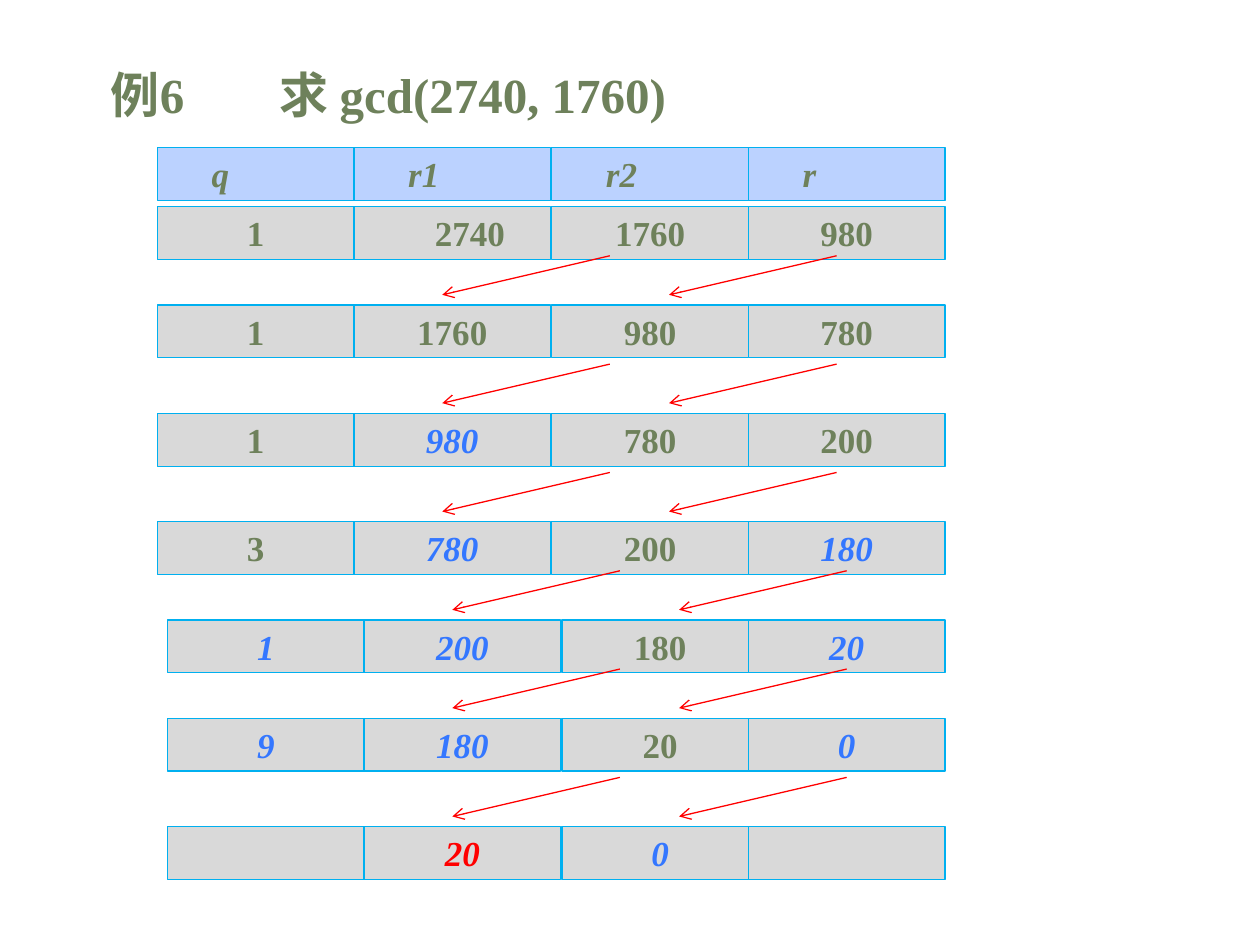
from dataclasses import dataclass

from lxml.etree import SubElement
from pptx import Presentation
from pptx.dml.color import RGBColor as Color
from pptx.enum.shapes import MSO_CONNECTOR as Connector, MSO_SHAPE as Preset
from pptx.enum.text import MSO_ANCHOR as Anchor, PP_ALIGN as Align
from pptx.oxml.ns import qn
from pptx.shapes.base import BaseShape
from pptx.slide import Slide
from pptx.util import Inches, Pt


@dataclass(frozen=True)
class Theme:
    font: str = "Times New Roman"
    title_size: int = 28
    cell_size: int = 20
    text: Color = Color(0x6E, 0x81, 0x5B)
    derived: Color = Color(0x34, 0x77, 0xFF)
    red: Color = Color(0xFF, 0x00, 0x00)
    header_fill: Color = Color(0xBB, 0xD2, 0xFF)
    cell_fill: Color = Color(0xD9, 0xD9, 0xD9)
    border: Color = Color(0x00, 0xB0, 0xF0)
    line_width: float = 0.75


@dataclass(frozen=True)
class Cell:
    text: str
    color: Color = Theme.text
    italic: bool = False
    indent: float = 0


@dataclass(frozen=True)
class Step:
    top: float
    shift: float
    cells: tuple[Cell, ...]


THEME = Theme()
COLUMN_LEFTS = (1.25, 2.81, 4.38, 5.94)
COLUMN_WIDTH = 1.56
ROW_HEIGHT = 0.42
HEADER_TOP = 1.17
HEADER_INDENT = 0.35
SHIFT = 0.08
ARROW_STARTS = (4.84, 6.64)
ARROW_RUN = 1.33
ARROW_DROP = 0.31
ARROW_GAP = 0.08


def derived(text: str) -> Cell:
    return Cell(text, THEME.derived, italic=True)


HEADERS = ("q", "r1", "r2", "r")
STEPS = (
    Step(1.64, 0, (Cell("1"), Cell("2740", indent=0.28), Cell("1760"), Cell("980"))),
    Step(2.42, 0, (Cell("1"), Cell("1760"), Cell("980"), Cell("780"))),
    Step(3.28, 0, (Cell("1"), derived("980"), Cell("780"), Cell("200"))),
    Step(4.14, 0, (Cell("3"), derived("780"), Cell("200"), derived("180"))),
    Step(4.92, SHIFT, (derived("1"), derived("200"), Cell("180"), derived("20"))),
    Step(5.7, SHIFT, (derived("9"), derived("180"), Cell("20"), derived("0"))),
    Step(6.56, SHIFT, (Cell(""), Cell("20", THEME.red, italic=True), derived("0"), Cell(""))),
)


def write_text(shape: BaseShape, text: str, *, size: int, color: Color = THEME.text,
               italic: bool = False, align: Align = Align.LEFT, indent: float = 0) -> None:
    frame = shape.text_frame
    frame.word_wrap = True
    frame.vertical_anchor = Anchor.TOP
    frame.margin_left = Inches(0.08 + indent)
    frame.margin_right = Inches(0.08)
    frame.margin_top = frame.margin_bottom = Inches(0.04)
    paragraph = frame.paragraphs[0]
    paragraph.alignment = align
    run = paragraph.add_run()
    run.text = text
    run.font.name = THEME.font
    run.font.size = Pt(size)
    run.font.bold = True
    run.font.italic = italic
    run.font.color.rgb = color


def add_title(slide: Slide, text: str, left: float, width: float, indent: float) -> None:
    box = slide.shapes.add_textbox(Inches(left), Inches(0.47), Inches(width), Inches(0.55))
    write_text(box, text, size=THEME.title_size, indent=indent)


def add_cell(slide: Slide, cell: Cell, left: float, top: float,
             fill: Color, align: Align) -> None:
    shape = slide.shapes.add_shape(
        Preset.RECTANGLE, Inches(left), Inches(top), Inches(COLUMN_WIDTH), Inches(ROW_HEIGHT))
    shape.shadow.inherit = False
    shape.fill.solid()
    shape.fill.fore_color.rgb = fill
    shape.line.color.rgb = THEME.border
    shape.line.width = Pt(THEME.line_width)
    if cell.text:
        write_text(shape, cell.text, size=THEME.cell_size, color=cell.color,
                   italic=cell.italic, align=align, indent=cell.indent)


def add_arrow(slide: Slide, start: float, end_top: float) -> None:
    arrow = slide.shapes.add_connector(
        Connector.STRAIGHT, Inches(start), Inches(end_top - ARROW_DROP),
        Inches(start - ARROW_RUN), Inches(end_top))
    arrow.line.color.rgb = THEME.red
    arrow.line.width = Pt(THEME.line_width)
    SubElement(arrow.line._get_or_add_ln(), qn("a:tailEnd"), type="arrow")
    SubElement(arrow._element.spPr, qn("a:effectLst"))


def add_step(slide: Slide, step: Step) -> None:
    shifts = (step.shift, step.shift, step.shift, 0)
    for cell, left, shift in zip(step.cells, COLUMN_LEFTS, shifts):
        add_cell(slide, cell, left + shift, step.top, THEME.cell_fill, Align.CENTER)


def main() -> None:
    presentation = Presentation()
    presentation.slide_width = Inches(10)
    presentation.slide_height = Inches(7.5)
    slide = presentation.slides.add_slide(presentation.slide_layouts[6])

    add_title(slide, "例6", left=0.7, width=1.09, indent=0.1)
    add_title(slide, "求 gcd(2740, 1760)", left=1.95, width=6.56, indent=0.19)
    for name, left in zip(HEADERS, COLUMN_LEFTS):
        header = Cell(name, italic=True, indent=HEADER_INDENT)
        add_cell(slide, header, left, HEADER_TOP, THEME.header_fill, Align.LEFT)
    for step in STEPS:
        add_step(slide, step)
    for step in STEPS[1:]:
        for start in ARROW_STARTS:
            add_arrow(slide, start + step.shift, step.top - ARROW_GAP)

    presentation.save("out.pptx")


if __name__ == "__main__":
    main()
